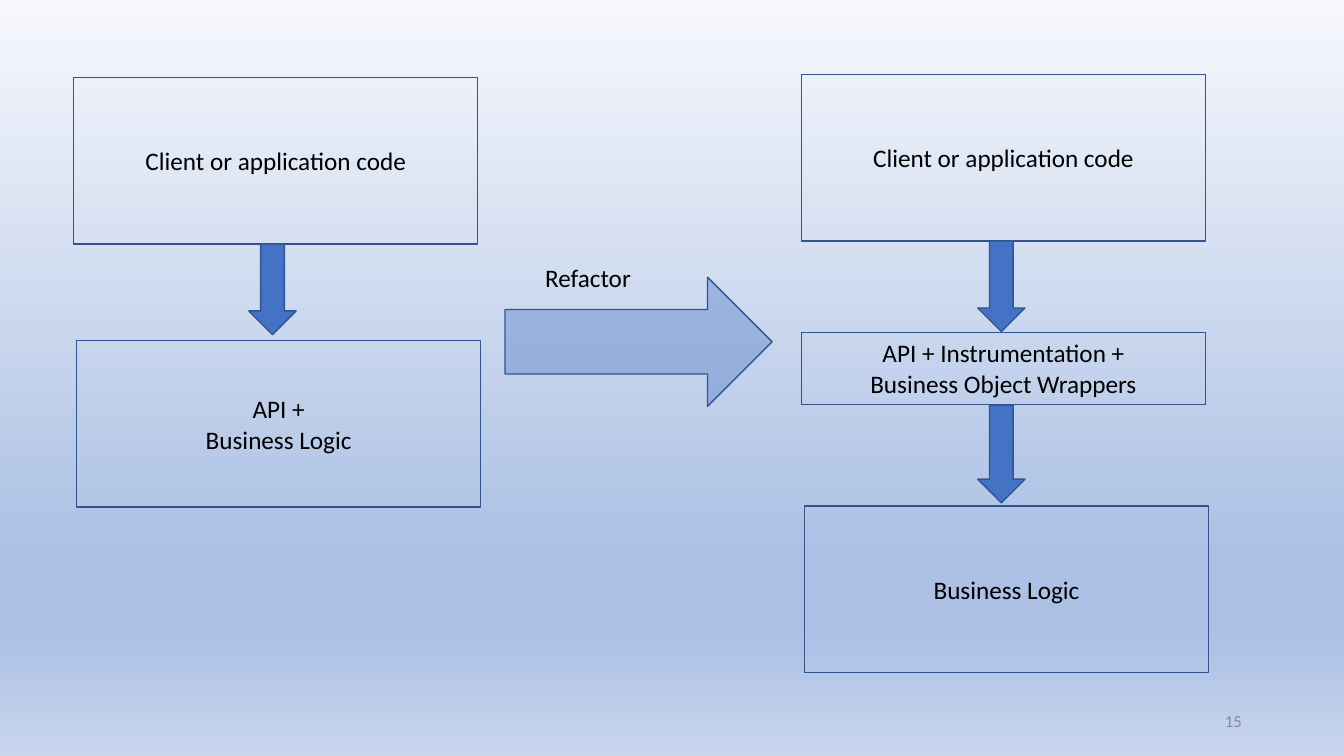
from copy import deepcopy
from dataclasses import dataclass

from lxml import etree
from pptx import Presentation
from pptx.dml.color import RGBColor
from pptx.enum.shapes import MSO_SHAPE
from pptx.enum.text import MSO_ANCHOR, PP_ALIGN
from pptx.oxml.ns import qn
from pptx.util import Pt

RECTANGLE, DOWN_ARROW, RIGHT_ARROW = MSO_SHAPE.RECTANGLE, MSO_SHAPE.DOWN_ARROW, MSO_SHAPE.RIGHT_ARROW
LEFT, CENTER, RIGHT = PP_ALIGN.LEFT, PP_ALIGN.CENTER, PP_ALIGN.RIGHT
TOP, MIDDLE = MSO_ANCHOR.TOP, MSO_ANCHOR.MIDDLE
BLANK_LAYOUT = 6


@dataclass(frozen=True)
class Theme:
    font: str = "Calibri"
    body_size: float = 18
    number_size: float = 12
    text: str = "000000"
    number: str = "8C8C8C"
    accent: str = "4472C4"
    outline: str = "325491"
    background: tuple = ((0, "F6F8FC"), (74, "ABC0E4"), (83, "ABC0E4"), (100, "C7D5ED"))


theme = Theme()


def write_text(shape, text, alignment, anchor=MIDDLE, wrap=True, size=theme.body_size, color=theme.text):
    frame = shape.text_frame
    frame.word_wrap = wrap
    frame.vertical_anchor = anchor
    paragraph = frame.paragraphs[0]
    paragraph.text = text
    paragraph.alignment = alignment
    for run in paragraph.runs:
        for name, value in {"name": theme.font, "size": Pt(size)}.items():
            setattr(run.font, name, value)
        run.font.color.rgb = RGBColor.from_string(color)


def add_outlined(kind, left, top, width, height, line_width=1):
    shape = slide.shapes.add_shape(kind, Pt(left), Pt(top), Pt(width), Pt(height))
    shape.shadow.inherit = False
    shape.line.color.rgb = RGBColor.from_string(theme.outline)
    shape.line.width = Pt(line_width)
    if kind == RECTANGLE:
        shape.fill.background()
    else:
        shape.fill.solid()
        shape.fill.fore_color.rgb = RGBColor.from_string(theme.accent)
    return shape


presentation = Presentation()
presentation.slide_width, presentation.slide_height = Pt(960), Pt(540)
slide = presentation.slides.add_slide(presentation.slide_layouts[BLANK_LAYOUT])

# Background gradient, top to bottom
background_fill = slide.background.fill
background_fill.gradient()
background_fill.gradient_angle = 270
stop_list = next(slide.element.iter(qn("a:gsLst")))
stop_list.extend([deepcopy(stop_list[0]) for _ in range(len(theme.background) - len(stop_list))])
for stop, (position, color) in zip(background_fill.gradient_stops, theme.background):
    stop.position = position / 100
    stop.color.rgb = RGBColor.from_string(color)

# Layers before (left) and after (right) the refactoring
BOX_WIDTH, BOX_HEIGHT = 288.7, 118.8
layers = [
    ("Client or application code", 572.4, 53.3, BOX_HEIGHT, 1, MIDDLE),
    ("API + Instrumentation +\nBusiness Object Wrappers", 572.4, 237.6, 51.1, 0.75, TOP),
    ("Business Logic", 574.6, 361.4, BOX_HEIGHT, 1, MIDDLE),
    ("Client or application code", 52.6, 55.4, BOX_HEIGHT, 1, MIDDLE),
    ("API +\nBusiness Logic", 54.7, 243.4, BOX_HEIGHT, 1, MIDDLE),
]
for text, left, top, height, line_width, anchor in layers:
    box = add_outlined(RECTANGLE, left, top, BOX_WIDTH, height, line_width)
    write_text(box, text, CENTER, anchor)

# Calls from each layer down to the next
ARROW_WIDTH = 33.8
for left, top, height in [(698.4, 172.1, 64.8), (698.4, 289.4, 69.8), (177.8, 174.2, 64.8)]:
    add_outlined(DOWN_ARROW, left, top, ARROW_WIDTH, height)

# Refactoring step
refactor_arrow = add_outlined(RIGHT_ARROW, 360.7, 198, 190.8, 92.2)
arrow_color = refactor_arrow.fill._xPr.find(qn("a:solidFill"))[0]
etree.SubElement(arrow_color, qn("a:alpha"), val="36000")

refactor_label = slide.shapes.add_textbox(Pt(382.3), Pt(183.6), Pt(76.3), Pt(28.8))
write_text(refactor_label, "Refactor", LEFT, TOP, wrap=False)

slide_number = slide.shapes.add_textbox(Pt(678.2), Pt(500.4), Pt(216), Pt(28.8))
write_text(slide_number, "15", RIGHT, size=theme.number_size, color=theme.number)

presentation.save("out.pptx")
